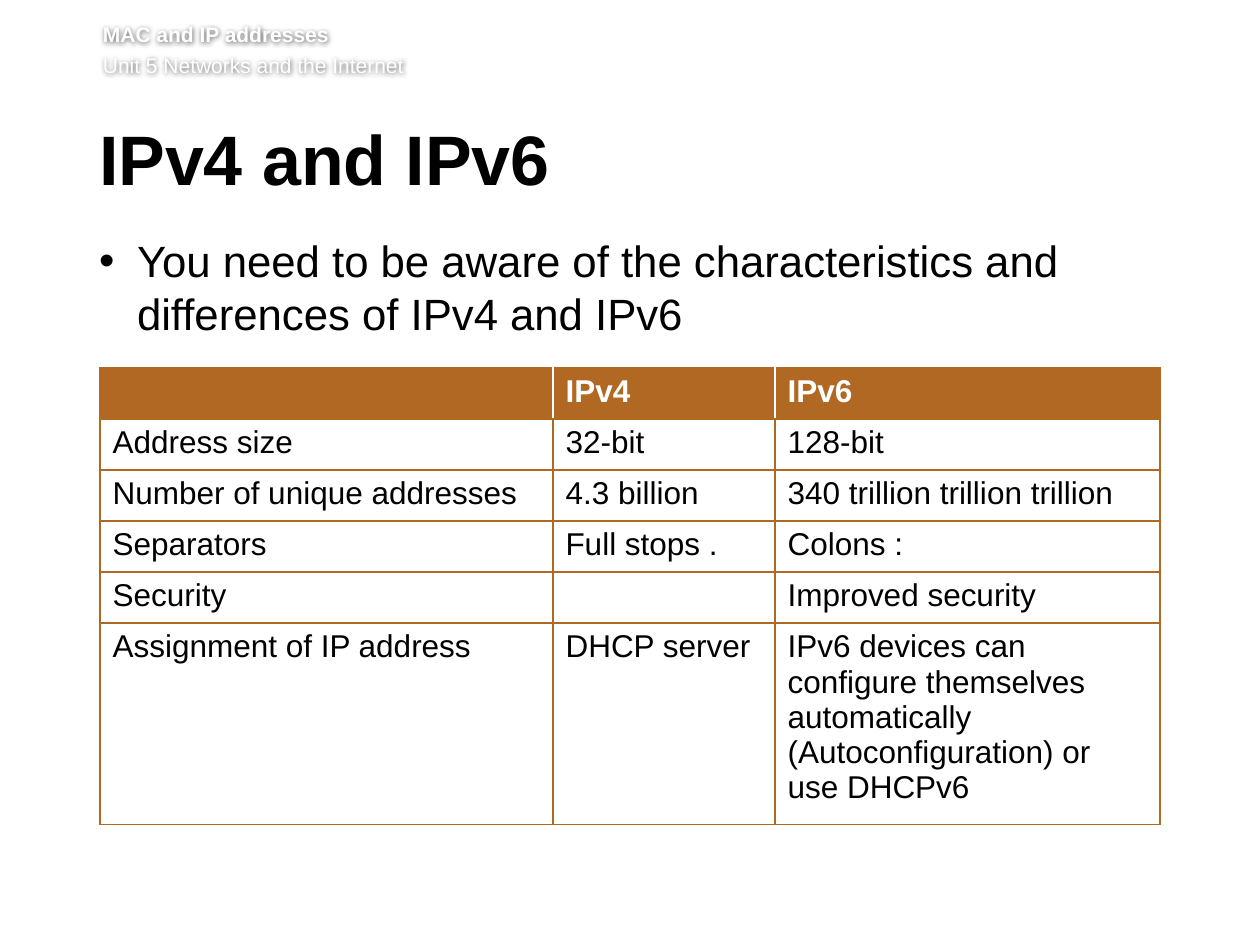
from lxml.etree import SubElement
from pptx import Presentation
from pptx.dml.color import RGBColor
from pptx.oxml import parse_xml
from pptx.oxml.ns import nsdecls, qn
from pptx.util import Pt

PX = 914400 / 126
WHITE = RGBColor(0xFF, 0xFF, 0xFF)
BLACK = RGBColor(0, 0, 0)
BROWN = RGBColor(0xB1, 0x68, 0x23)


def px(length):
    return round(length * PX)


def write(paragraph, text, size=18, color=BLACK, bold=False, before=None,
          after=None, spacing=None):
    run = paragraph.add_run()
    run.text = text
    run.font.name = "Arial"
    run.font.size = Pt(size)
    run.font.bold = bold
    run.font.color.rgb = color
    paragraph.space_before = before
    paragraph.space_after = after
    paragraph.line_spacing = spacing


prs = Presentation()
prs.slide_width = px(1260)
prs.slide_height = px(945)
slide = prs.slides.add_slide(prs.slide_layouts[6])

boxes = []
for left, top, width, height, right_inset, top_inset in [
    (103, 22, 1111, 62, 0, 0),
    (99, 125, 1077, 92, 13, 6),
    (99, 234, 1075, 609, 13, 0),
]:
    box = slide.shapes.add_textbox(px(left), px(top), px(width), px(height))
    frame = box.text_frame
    frame.word_wrap = True
    frame.margin_left = 0
    frame.margin_right = px(right_inset)
    frame.margin_top = px(top_inset)
    frame.margin_bottom = px(6)
    boxes.append(box)
header, title, body = boxes

header._element.spPr.append(parse_xml(
    f'<a:effectLst {nsdecls("a")}><a:outerShdw blurRad="38100" dist="0" dir="0">'
    '<a:srgbClr val="000000"><a:alpha val="60000"/></a:srgbClr>'
    '</a:outerShdw></a:effectLst>'))
write(header.text_frame.paragraphs[0], "MAC and IP addresses", size=12, color=WHITE, bold=True)
write(header.text_frame.add_paragraph(), "Unit 5 Networks and the Internet", size=12,
      color=WHITE, before=Pt(2.9))
write(title.text_frame.paragraphs[0], "IPv4 and IPv6", size=40, bold=True,
      after=Pt(15), spacing=Pt(39))

point = body.text_frame.paragraphs[0]
indents = point._p.get_or_add_pPr()
indents.set("marL", str(px(38)))
indents.set("indent", str(-px(38)))
SubElement(indents, qn("a:buFont"), typeface="Arial")
SubElement(indents, qn("a:buChar"), char="•")
write(point, "You need to be aware of the characteristics and differences of IPv4 and IPv6",
      size=25, after=Pt(14))

comparison = [
    ("", "IPv4", "IPv6"),
    ("Address size", "32-bit", "128-bit"),
    ("Number of unique addresses", "4.3 billion", "340 trillion trillion trillion"),
    ("Separators", "Full stops .", "Colons :"),
    ("Security", "", "Improved security"),
    ("Assignment of IP address", "DHCP server",
     "IPv6 devices can configure themselves automatically (Autoconfiguration) or use DHCPv6"),
]
column_widths = [453, 222, 385]
row_height = 51
table = slide.shapes.add_table(len(comparison), len(column_widths), px(100), px(368),
                               px(sum(column_widths)), px(row_height * len(comparison))).table
for column, width in zip(table.columns, column_widths):
    column.width = px(width)

for r, row in enumerate(comparison):
    table.rows[r].height = px(row_height)
    heading = r == 0
    for c, text in enumerate(row):
        cell = table.cell(r, c)
        properties = cell._tc.get_or_add_tcPr()
        inner_sides = {"lnL": c > 0, "lnR": c < len(row) - 1, "lnT": False, "lnB": False}
        for side, inner in inner_sides.items():
            color = WHITE if heading and inner else BROWN
            properties.append(parse_xml(
                f'<a:{side} {nsdecls("a")} w="12700"><a:solidFill>'
                f'<a:srgbClr val="{color}"/></a:solidFill></a:{side}>'))
        if heading:
            cell.fill.solid()
            cell.fill.fore_color.rgb = BROWN
        else:
            cell.fill.background()
        if text:
            write(cell.text_frame.paragraphs[0], text,
                  color=WHITE if heading else BLACK, bold=heading)

prs.save("out.pptx")
